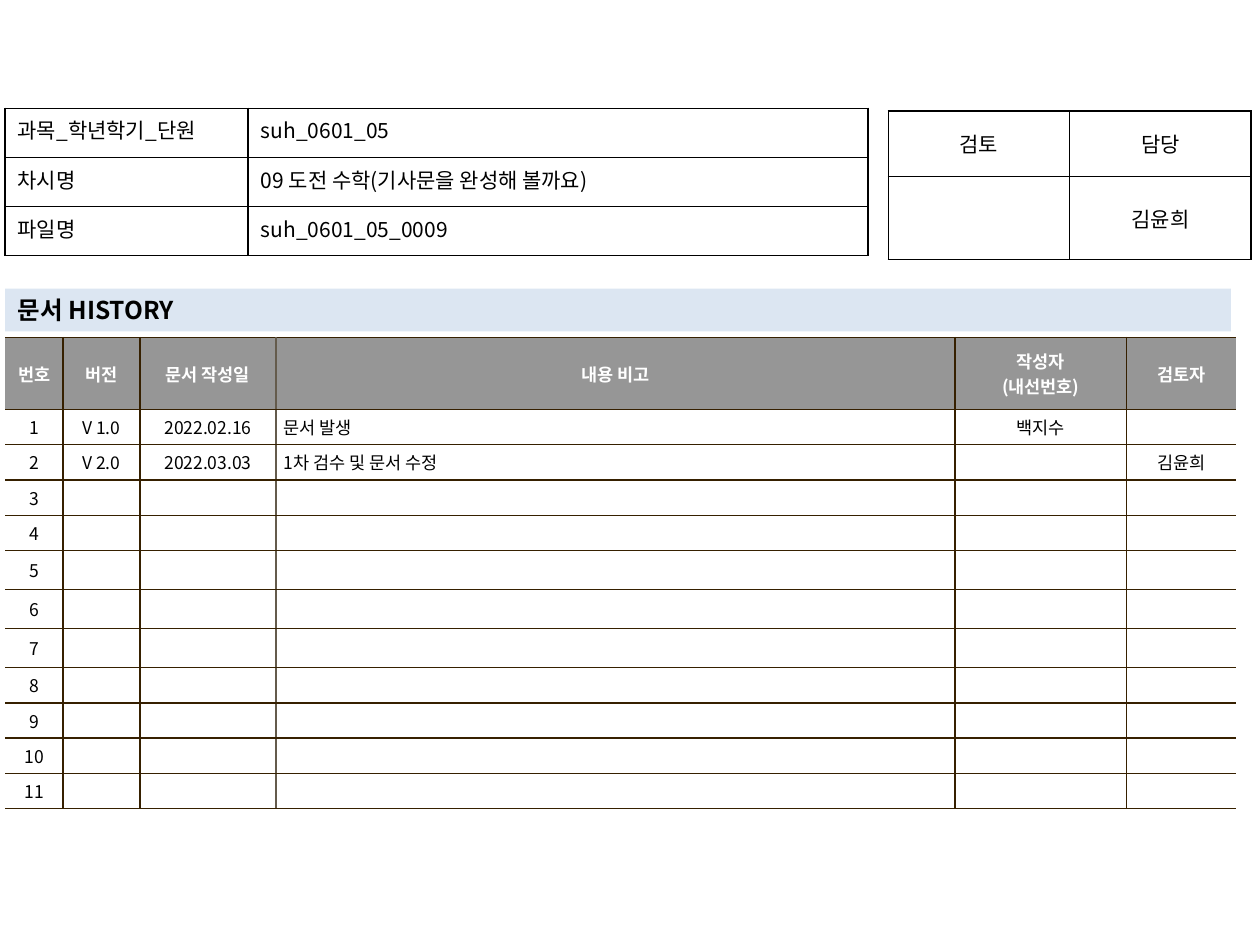
from lxml.etree import SubElement
from pptx import Presentation
from pptx.dml.color import RGBColor
from pptx.enum.text import MSO_ANCHOR, MSO_AUTO_SIZE, PP_ALIGN
from pptx.oxml.ns import qn
from pptx.util import Inches, Pt

FONT = "Noto Sans CJK KR"
COLORS = {
    "black": "000000",
    "white": "FFFFFF",
    "brown": "362000",
    "taupe": "645B4C",
    "header": "969696",
    "bar": "DCE6F2",
}


def color(name):
    return RGBColor.from_string(COLORS[name])


def format_text(frame, size, name="black", bold=False, align=PP_ALIGN.LEFT):
    for para in frame.paragraphs:
        para.alignment = align
        for span in para.runs:
            span.font.name = FONT
            span.font.size = Pt(size)
            span.font.bold = bold
            span.font.color.rgb = color(name)
            properties = span.font._element
            for tag in ("a:ea", "a:cs"):
                SubElement(properties, qn(tag), typeface=FONT)
        if not para.runs:
            SubElement(para._p, qn("a:endParaRPr"), sz=str(size * 100))


def set_borders(cell, left="black", right="black", top="black", bottom="black"):
    properties = cell._tc.get_or_add_tcPr()
    sides = {"a:lnL": left, "a:lnR": right, "a:lnT": top, "a:lnB": bottom}
    for tag, name in sides.items():
        line = SubElement(properties, qn(tag), w=str(Pt(1)))
        if name is None:
            SubElement(line, qn("a:noFill"))
        else:
            fill = SubElement(line, qn("a:solidFill"))
            SubElement(fill, qn("a:srgbClr"), val=COLORS[name])


def set_margins(cell, horizontal, vertical):
    cell.margin_left = cell.margin_right = Inches(horizontal)
    cell.margin_top = cell.margin_bottom = Inches(vertical)


def add_grid(page, left, top, widths, heights, content):
    box = page.shapes.add_table(
        len(heights), len(widths), Inches(left), Inches(top),
        Inches(sum(widths)), Inches(sum(heights)),
    )
    table = box.table
    table.first_row = table.horz_banding = False
    for column, width in zip(table.columns, widths):
        column.width = Inches(width)
    for row, height, texts in zip(table.rows, heights, content):
        row.height = Inches(height)
        for cell, text in zip(row.cells, texts):
            cell.text_frame.text = text
    return table


def add_lesson_table(page, left, top):
    content = [
        ("과목_학년학기_단원", "suh_0601_05"),
        ("차시명", "09 도전 수학(기사문을 완성해 볼까요)"),
        ("파일명", "suh_0601_05_0009"),
    ]
    table = add_grid(page, left, top, [1.93, 4.92], [0.39] * 3, content)
    for row in table.rows:
        for cell, align in zip(row.cells, (PP_ALIGN.JUSTIFY, PP_ALIGN.LEFT)):
            set_borders(cell)
            set_margins(cell, 0.1, 0.05)
            cell.fill.background()
            format_text(cell.text_frame, 12, align=align)


def add_approval_table(page, left, top):
    content = [("검토", "담당"), ("", "김윤희")]
    table = add_grid(page, left, top, [1.44, 1.44], [0.52, 0.66], content)
    for cell in table.iter_cells():
        set_borders(cell)
        set_margins(cell, 0.1, 0.05)
        cell.fill.background()
        cell.vertical_anchor = MSO_ANCHOR.MIDDLE
        format_text(cell.text_frame, 12, align=PP_ALIGN.CENTER)


def place_title(page, left, top, width, height):
    title = page.shapes.title
    title.left, title.top = Inches(left), Inches(top)
    title.width, title.height = Inches(width), Inches(height)
    title.fill.solid()
    title.fill.fore_color.rgb = color("bar")
    frame = title.text_frame
    frame.text = "문서 HISTORY"
    frame.word_wrap = True
    frame.auto_size = MSO_AUTO_SIZE.NONE
    frame.vertical_anchor = MSO_ANCHOR.MIDDLE
    format_text(frame, 14, bold=True)


def add_history_table(page, left, top):
    widths = [0.46, 0.61, 1.08, 5.39, 1.36, 0.87]
    heights = [0.57] + [0.28] * 4 + [0.31] * 3 + [0.28] * 4
    entries = [
        ("1", "V 1.0", "2022.02.16", "문서 발생", "백지수", ""),
        ("2", "V 2.0", "2022.03.03", "1차 검수 및 문서 수정", "", "김윤희"),
    ]
    blanks = [(str(number), "", "", "", "", "") for number in range(3, 12)]
    header = ("번호", "버전", "문서 작성일", "내용 비고", "작성자\n(내선번호)", "검토자")
    table = add_grid(page, left, top, widths, heights, [header] + entries + blanks)

    edges = [None, "brown", "brown", "taupe", "brown", "brown", None]
    note_column = 3
    for row_index, row in enumerate(table.rows):
        is_header = row_index == 0
        for index, cell in enumerate(row.cells):
            set_borders(cell, edges[index], edges[index + 1], "brown", "brown")
            set_margins(cell, 0.06, 0.04)
            cell.fill.solid()
            cell.fill.fore_color.rgb = color("header" if is_header else "white")
            cell.vertical_anchor = MSO_ANCHOR.MIDDLE
            is_note = index == note_column and not is_header
            format_text(
                cell.text_frame, 10, "white" if is_header else "black", is_header,
                PP_ALIGN.LEFT if is_note else PP_ALIGN.CENTER,
            )


def main():
    deck = Presentation()
    deck.slide_width, deck.slide_height = Inches(10), Inches(7.5)
    page = deck.slides.add_slide(deck.slide_layouts[5])
    add_history_table(page, 0.04, 2.68)
    add_approval_table(page, 7.05, 0.88)
    place_title(page, 0.04, 2.29, 9.73, 0.34)
    add_lesson_table(page, 0.04, 0.86)
    deck.save("out.pptx")


if __name__ == "__main__":
    main()
